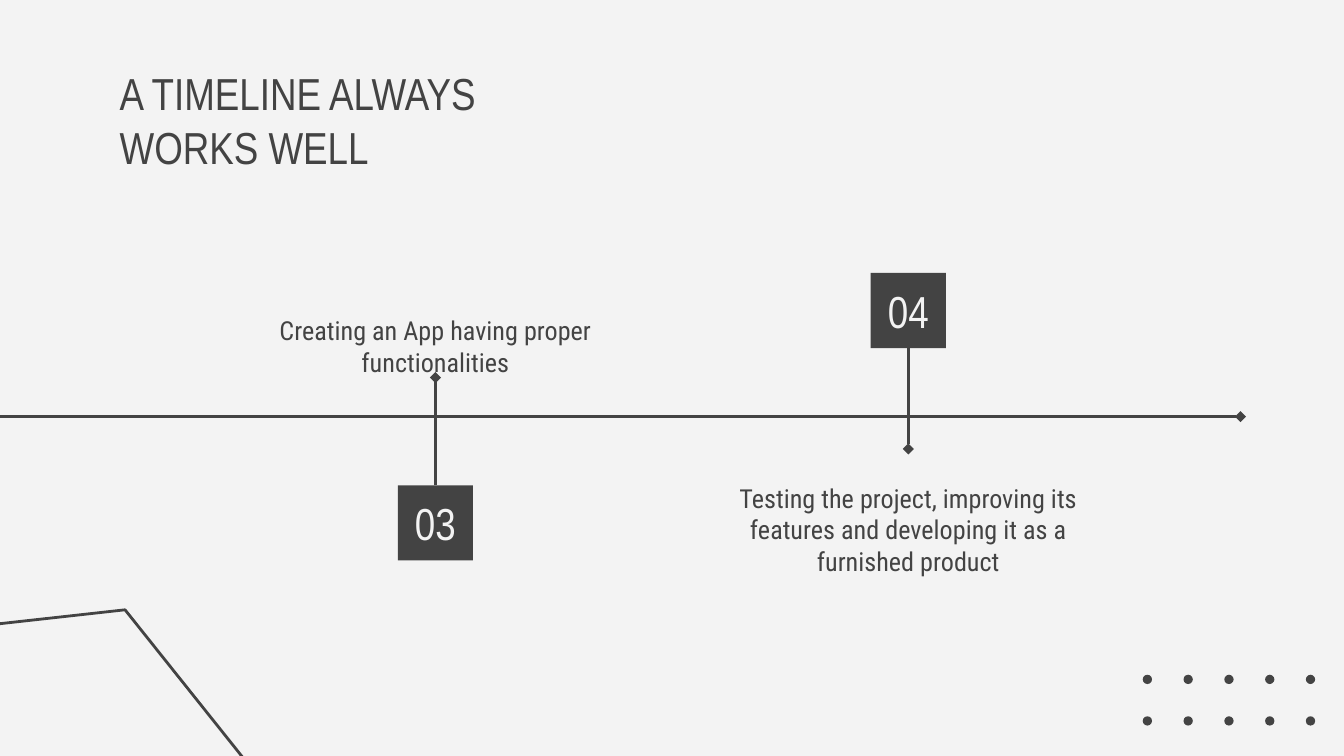
from lxml import etree
from pptx import Presentation
from pptx import util as u
from pptx.dml.color import RGBColor
from pptx.enum import shapes, text
from pptx.oxml import ns

Pt = u.Pt
DARK, LIGHT = "434343", "F3F3F3"
HEADING, BODY = "Arial Narrow", "Roboto Condensed"

TITLE = "A TIMELINE ALWAYS WORKS WELL"
AXIS_Y, AXIS_END = 223.2, 664.6
BOX, LABEL_WIDTH, LABEL_HEIGHT = 40.3, 211.7, 86.4
STEPS = [
    dict(number="04", center=486.6, box_top=146.2, side=2, tip=240.5,
         label="Testing the project, improving its features and developing it as a furnished product",
         label_top=240.5, anchor=text.MSO_ANCHOR.TOP, insets=(18, 7.2)),
    dict(number="03", center=233.3, box_top=260, side=0, tip=202.3,
         label="Creating an App having proper functionalities",
         label_top=115.9, anchor=text.MSO_ANCHOR.BOTTOM, insets=(7.2, 0)),
]
CORNER = [(-12.2, 335.5), (67, 326.7), (130.3, 406.1)]
DOT_LEFT, DOT_TOP, DOT_GAP_X, DOT_GAP_Y, DOT = 612.2, 361.5, 21.85, 22.25, 5

presentation = Presentation()
presentation.slide_width, presentation.slide_height = Pt(720), Pt(405)
slide = presentation.slides.add_slide(presentation.slide_layouts[5])


def paint(fill, color):
    fill.solid()
    fill.fore_color.rgb = RGBColor.from_string(color)


def style_line(line):
    paint(line.fill, DARK)
    line.width = Pt(1.5)


def add_block(kind, left, top, size):
    shape = slide.shapes.add_shape(kind, Pt(left), Pt(top), Pt(size), Pt(size))
    shape.shadow.inherit = False
    paint(shape.fill, DARK)
    shape.line.fill.background()
    return shape


def write(shape, words, font, size, color, align, anchor, insets=(7.2, 7.2)):
    frame = shape.text_frame
    frame.word_wrap = True
    frame.auto_size = text.MSO_AUTO_SIZE.NONE
    frame.vertical_anchor = anchor
    frame.margin_left = frame.margin_right = Pt(7.2)
    frame.margin_top, frame.margin_bottom = map(Pt, insets)
    paragraph = frame.paragraphs[0]
    paragraph.text = words
    paragraph.alignment = align
    paragraph.font.name = font
    paragraph.font.size = Pt(size)
    paint(paragraph.font.fill, color)
    return paragraph


def add_line(start, end, diamond):
    connector = slide.shapes.add_connector(
        shapes.MSO_CONNECTOR.STRAIGHT, *map(Pt, start + end))
    style_line(connector.line)
    outline = connector.line._get_or_add_ln()
    etree.SubElement(outline, ns.qn("a:" + diamond), type="diamond")
    etree.SubElement(connector._element.spPr, ns.qn("a:effectLst"))
    return connector


paint(slide.background.fill, LIGHT)

for row in range(2):
    for column in range(5):
        add_block(shapes.MSO_SHAPE.OVAL, DOT_LEFT + column * DOT_GAP_X,
                  DOT_TOP + row * DOT_GAP_Y, DOT)

points = [(Pt(x), Pt(y)) for x, y in CORNER]
builder = slide.shapes.build_freeform(*points[0])
builder.add_line_segments(points[1:], close=False)
corner = builder.convert_to_shape()
corner.shadow.inherit = False
corner.fill.background()
style_line(corner.line)

title = slide.shapes.title
title.left, title.top, title.width, title.height = map(Pt, (56.9, 28.1, 253.4, 65.5))
write(title, TITLE, HEADING, 24, DARK, text.PP_ALIGN.LEFT, text.MSO_ANCHOR.TOP)

add_line((AXIS_END, AXIS_Y), (0, AXIS_Y), "headEnd")

for step in STEPS:
    center, box_top = step["center"], step["box_top"]
    box = add_block(shapes.MSO_SHAPE.RECTANGLE, center - BOX / 2, box_top, BOX)
    write(box, step["number"], HEADING, 24, LIGHT,
          text.PP_ALIGN.CENTER, text.MSO_ANCHOR.MIDDLE)
    label = slide.shapes.add_textbox(Pt(center - LABEL_WIDTH / 2), Pt(step["label_top"]),
                                     Pt(LABEL_WIDTH), Pt(LABEL_HEIGHT))
    paragraph = write(label, step["label"], BODY, 14, DARK,
                      text.PP_ALIGN.CENTER, step["anchor"], step["insets"])
    paragraph.space_after = Pt(16)
    edge = box_top + (BOX if step["side"] == 2 else 0)
    stem = add_line((center, edge), (center, step["tip"]), "tailEnd")
    stem.begin_connect(box, step["side"])

presentation.save("out.pptx")
